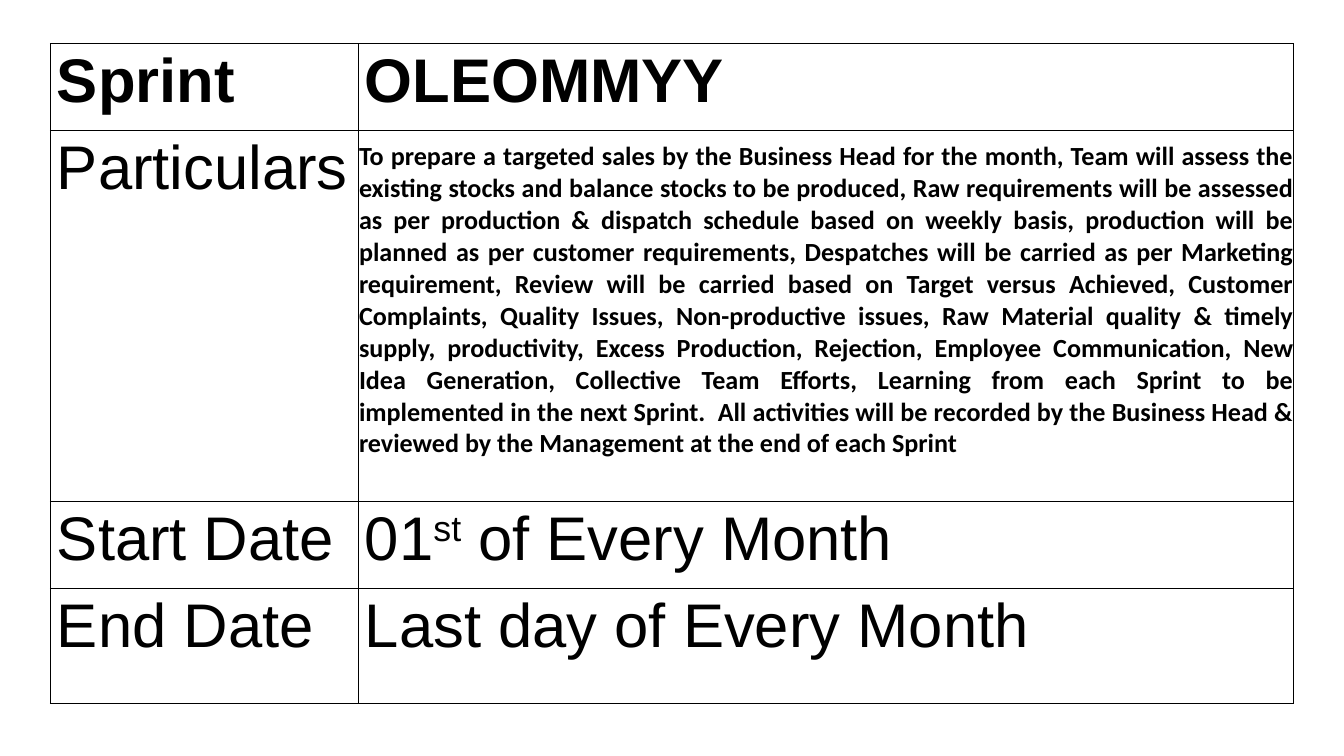
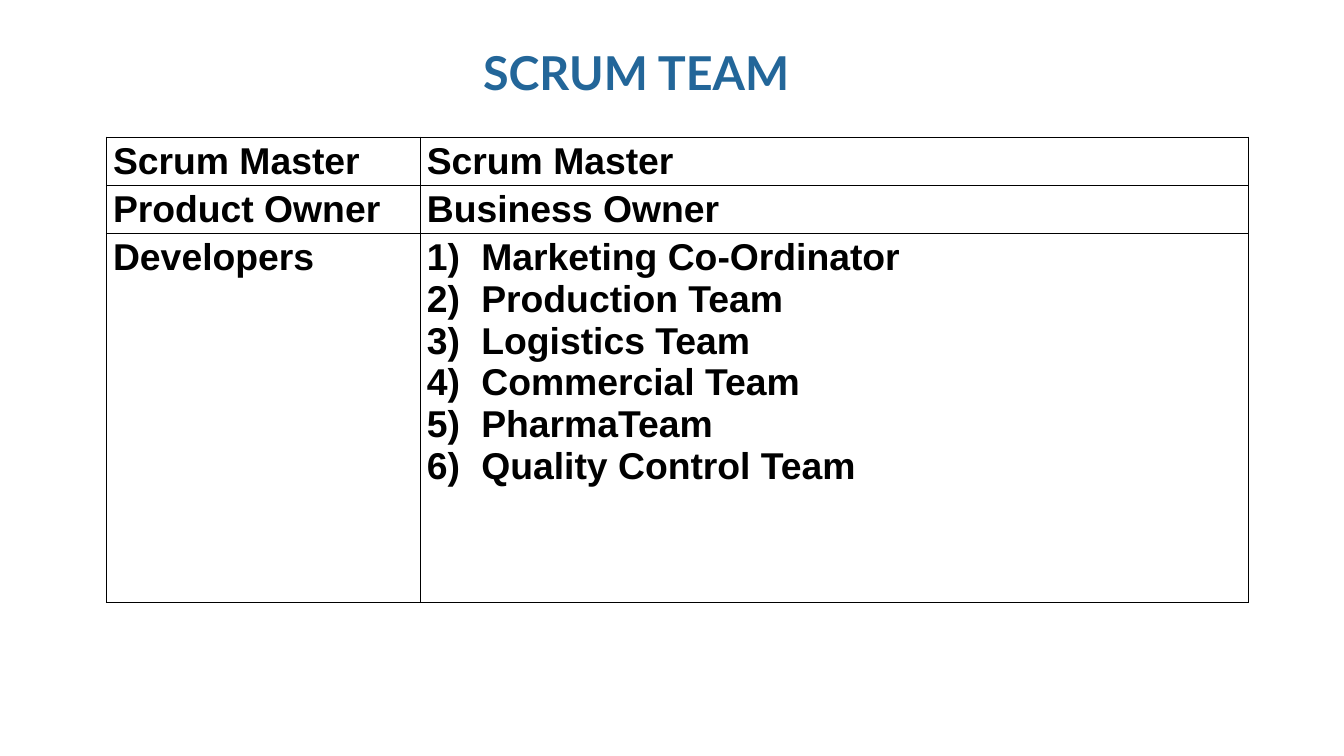
from lxml import etree
from pptx import Presentation
from pptx.dml.color import RGBColor
from pptx.enum.text import MSO_ANCHOR, PP_ALIGN
from pptx.oxml.ns import qn
from pptx.util import Cm, Pt

MIDDLE = MSO_ANCHOR.MIDDLE
JUSTIFY = PP_ALIGN.JUSTIFY
BLACK, WHITE, BLUE = "000000", "FFFFFF", "236699"
BORDER_WIDTH = Pt(1)
BORDER_SIDES = ("a:lnL", "a:lnR", "a:lnT", "a:lnB")


def add_run(paragraph, text, size, bold=True, font="Arial", color=BLACK):
    run = paragraph.add_run()
    run.text = text
    run.font.size = Pt(size)
    run.font.bold = bold
    run.font.name = font
    run.font.color.rgb = RGBColor.from_string(color)
    return run


def add_grid(slide, left, top, widths, heights):
    """Add a white table with thin black borders; lengths in centimetres."""
    grid = slide.shapes.add_table(len(heights), len(widths), Cm(left), Cm(top),
                                  Cm(sum(widths)), Cm(sum(heights))).table
    grid.first_row = grid.horz_banding = False
    for column, width in zip(grid.columns, widths):
        column.width = Cm(width)
    for row, height in zip(grid.rows, heights):
        row.height = Cm(height)
    for cell in grid.iter_cells():
        properties = cell._tc.get_or_add_tcPr()
        for side in BORDER_SIDES:
            line = etree.SubElement(properties, qn(side), w=str(BORDER_WIDTH))
            fill = etree.SubElement(line, qn("a:solidFill"))
            etree.SubElement(fill, qn("a:srgbClr"), val=BLACK)
        cell.fill.solid()
        cell.fill.fore_color.rgb = RGBColor.from_string(WHITE)
    return grid


deck = Presentation()
deck.slide_width, deck.slide_height = Cm(50.8), Cm(28.58)
blank = deck.slide_layouts[6]

# Sprint overview
sprint_slide = deck.slides.add_slide(blank)
sprint = add_grid(sprint_slide, 1.9, 1.65, [11.64, 35.36], [3.28, 14.02, 3.28, 4.36])

particulars = (
    "To prepare a targeted sales by the Business Head for the month, Team will assess "
    "the existing stocks and balance stocks to be produced, Raw requirements will be "
    "assessed as per production & dispatch schedule based on weekly basis, production "
    "will be planned as per customer requirements, Despatches will be carried as per "
    "Marketing requirement, Review will be carried based on Target versus Achieved, "
    "Customer Complaints, Quality Issues, Non-productive issues, Raw Material quality & "
    "timely supply, productivity, Excess Production, Rejection, Employee Communication, "
    "New Idea Generation, Collective Team Efforts, Learning from each Sprint to be "
    "implemented in the next Sprint.  All activities will be recorded by the Business "
    "Head & reviewed by the Management at the end of each Sprint"
)
sprint_rows = [
    ("Sprint", ["OLEOMMYY"]),
    ("Particulars", []),
    ("Start Date", ["01", "st", " of Every Month"]),
    ("End Date", ["Last day of Every Month"]),
]
for index, (label, value_parts) in enumerate(sprint_rows):
    heading = index == 0
    add_run(sprint.cell(index, 0).text_frame.paragraphs[0], label, 66, heading)
    for part in value_parts:
        run = add_run(sprint.cell(index, 1).text_frame.paragraphs[0], part, 66, heading)
        if part == "st":
            run._r.get_or_add_rPr().set("baseline", "30000")

details = sprint.cell(1, 1)
details.vertical_anchor = MIDDLE
details.margin_left = details.margin_right = details.margin_top = Cm(0.03)
details.margin_bottom = Cm(1.2)
details_text = details.text_frame.paragraphs[0]
details_text.alignment = JUSTIFY
add_run(details_text, particulars, 28, font="Calibri")

# Scrum team
team_slide = deck.slides.add_slide(blank)
team = add_grid(team_slide, 4.02, 5.18, [11.86, 31.32], [1.4, 1.45, 13.94])
team_rows = [
    ("Scrum Master", ["Scrum Master"]),
    ("Product Owner", ["Business Owner"]),
    ("Developers", ["Marketing Co-Ordinator", "Production Team", "Logistics Team",
                    "Commercial Team", "PharmaTeam", "Quality Control Team"]),
]
for index, (role, members) in enumerate(team_rows):
    add_run(team.cell(index, 0).text_frame.paragraphs[0], role, 40)
    member_frame = team.cell(index, 1).text_frame
    for position, member in enumerate(members):
        paragraph = member_frame.add_paragraph() if position else member_frame.paragraphs[0]
        add_run(paragraph, member, 40)
        if len(members) > 1:
            properties = paragraph._p.get_or_add_pPr()
            properties.set("marL", str(Cm(2.06)))
            properties.set("indent", str(-Cm(2.06)))
            etree.SubElement(properties, qn("a:buFont"), typeface="+mj-lt")
            etree.SubElement(properties, qn("a:buAutoNum"), type="arabicParenR")

title = team_slide.shapes.add_textbox(Cm(18.26), Cm(1.65), Cm(14.3), Cm(2.18)).text_frame
title.word_wrap = True
title.margin_left = title.margin_right = title.margin_top = title.margin_bottom = 0
add_run(title.paragraphs[0], "SCRUM TEAM", 50, font="Lato", color=BLUE)

deck.save("out.pptx")
